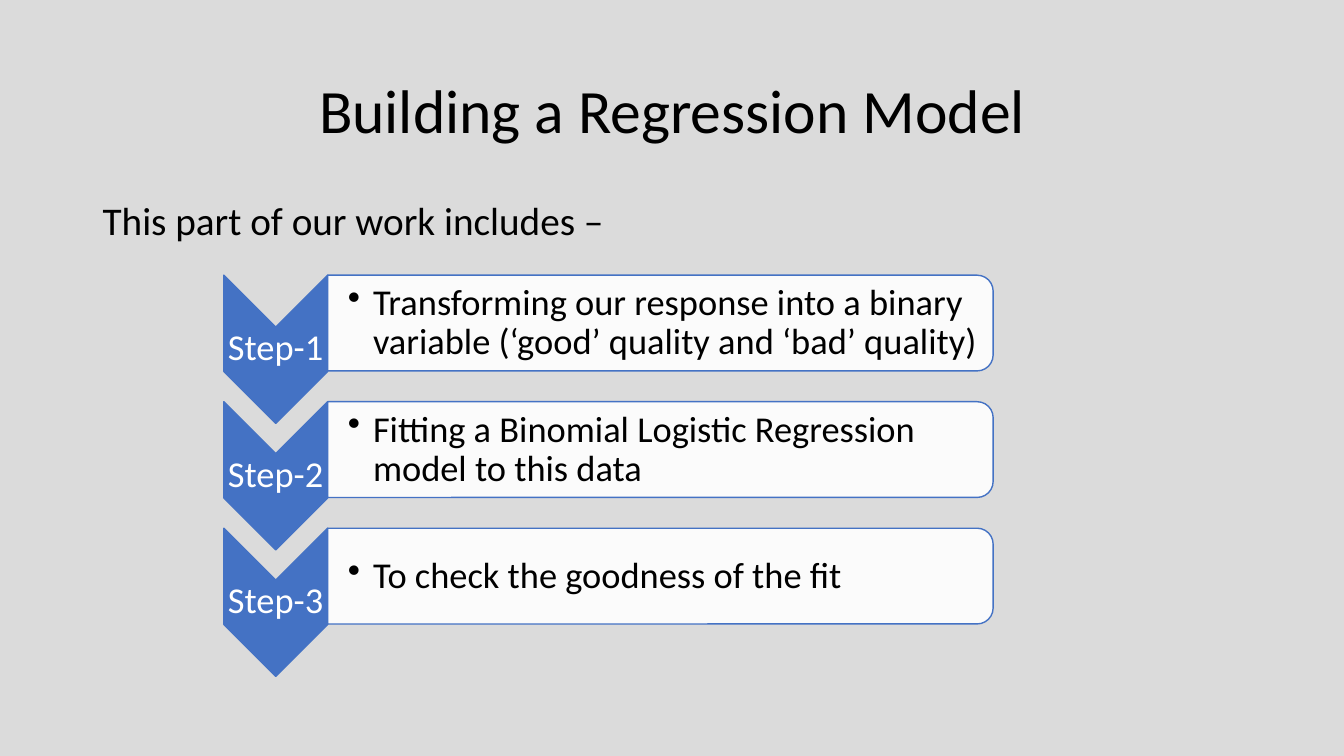
from lxml import etree
from pptx import Presentation
from pptx.dml.color import RGBColor
from pptx.enum.shapes import MSO_SHAPE
from pptx.enum.text import MSO_ANCHOR, PP_ALIGN
from pptx.oxml.ns import qn
from pptx.util import Inches, Pt

CHEVRON, PANEL = MSO_SHAPE.CHEVRON, MSO_SHAPE.ROUND_2_SAME_RECTANGLE
TOP, MIDDLE = MSO_ANCHOR.TOP, MSO_ANCHOR.MIDDLE
LEFT, CENTER = PP_ALIGN.LEFT, PP_ALIGN.CENTER
GREY = RGBColor(0xDB, 0xDB, 0xDB)
BLUE = RGBColor(0x44, 0x72, 0xC4)
WHITE = RGBColor(0xFF, 0xFF, 0xFF)
BLACK = RGBColor(0, 0, 0)
FONT = "Calibri"
WIDE, THIN = (0.1, 0.05, 0.1, 0.05), (0.02,) * 4
BULLETED = (0.2, 0.02, 0.02, 0.02)
CHEVRON_W, CHEVRON_H, PANEL_H = 1.03, 1.47, 0.95
STEPS = [
    ("Step-1", "Transforming our response into a binary variable (‘good’ quality and ‘bad’ quality)"),
    ("Step-2", "Fitting a Binomial Logistic Regression model to this data"),
    ("Step-3", "To check the goodness of the fit"),
]


def add_text(shapes, box, text, size, color=BLACK, align=LEFT, anchor=MIDDLE, insets=WIDE):
    """Add a one-paragraph text box and return its paragraph."""
    tf = shapes.add_textbox(*map(Inches, box)).text_frame
    tf.word_wrap = True
    tf.vertical_anchor = anchor
    tf.margin_left, tf.margin_top, tf.margin_right, tf.margin_bottom = map(Inches, insets)
    p = tf.paragraphs[0]
    p.alignment = align
    p.line_spacing = 0.9
    r = p.add_run()
    r.text = text
    r.font.name, r.font.size = FONT, Pt(size)
    r.font.color.rgb = color
    return p


def add_bullet(p):
    """Give a paragraph a hanging bullet."""
    pPr = p._p.get_or_add_pPr()
    pPr.set("marL", str(Inches(0.25)))
    pPr.set("indent", str(-Inches(0.25)))
    etree.SubElement(pPr, qn("a:buChar"), char="•")


def add_turned(shapes, kind, box, fill):
    """Add a shape turned by 90 degrees that covers the given box."""
    x, y, w, h = box
    shift = (w - h) / 2
    shape = shapes.add_shape(kind, *map(Inches, (x + shift, y - shift, h, w)))
    shape.rotation = 90
    shape.shadow.inherit = False
    shape.fill.solid()
    shape.fill.fore_color.rgb = fill
    shape.line.color.rgb = BLUE
    shape.line.width = Pt(1)
    return shape


def add_step(shapes, box, label, text):
    """Draw one step: a chevron with its label and a panel with its text."""
    x, y, w, h = box
    add_turned(shapes, CHEVRON, (x, y, CHEVRON_W, h), BLUE)
    add_text(shapes, (x, y + 0.51, CHEVRON_W, 0.44), label, 26, WHITE, CENTER, insets=THIN)
    panel_x, panel_w = x + CHEVRON_W, w - CHEVRON_W
    panel = add_turned(shapes, PANEL, (panel_x, y, panel_w, PANEL_H), WHITE)
    color = panel.fill._xPr.find(qn("a:solidFill"))[0]
    etree.SubElement(color, qn("a:alpha"), val="90000")
    p = add_text(shapes, (panel_x, y + 0.05, panel_w - 0.04, 0.86), text, 26, insets=BULLETED)
    add_bullet(p)


def add_steps(s, box):
    """Spread the steps evenly down the box."""
    x, y, w, h = box
    shapes = s.shapes.add_group_shape().shapes
    pitch = (h - CHEVRON_H) / (len(STEPS) - 1)
    for i, (label, text) in enumerate(STEPS):
        add_step(shapes, (x, y + i * pitch, w, CHEVRON_H), label, text)


def main():
    """Build and save the slide."""
    prs = Presentation()
    prs.slide_width, prs.slide_height = Inches(13.33), Inches(7.5)
    s = prs.slides.add_slide(prs.slide_layouts[6])
    s.background.fill.solid()
    s.background.fill.fore_color.rgb = GREY
    add_text(s.shapes, (0.92, 0.4, 11.5, 1.45), "Building a Regression Model", 44, align=CENTER)
    add_text(s.shapes, (0.92, 1.95, 11.5, 4.76), "This part of our work includes –", 28, anchor=TOP)
    add_steps(s, (2.22, 2.73, 7.63, 3.98))
    prs.save("out.pptx")


if __name__ == "__main__":
    main()
